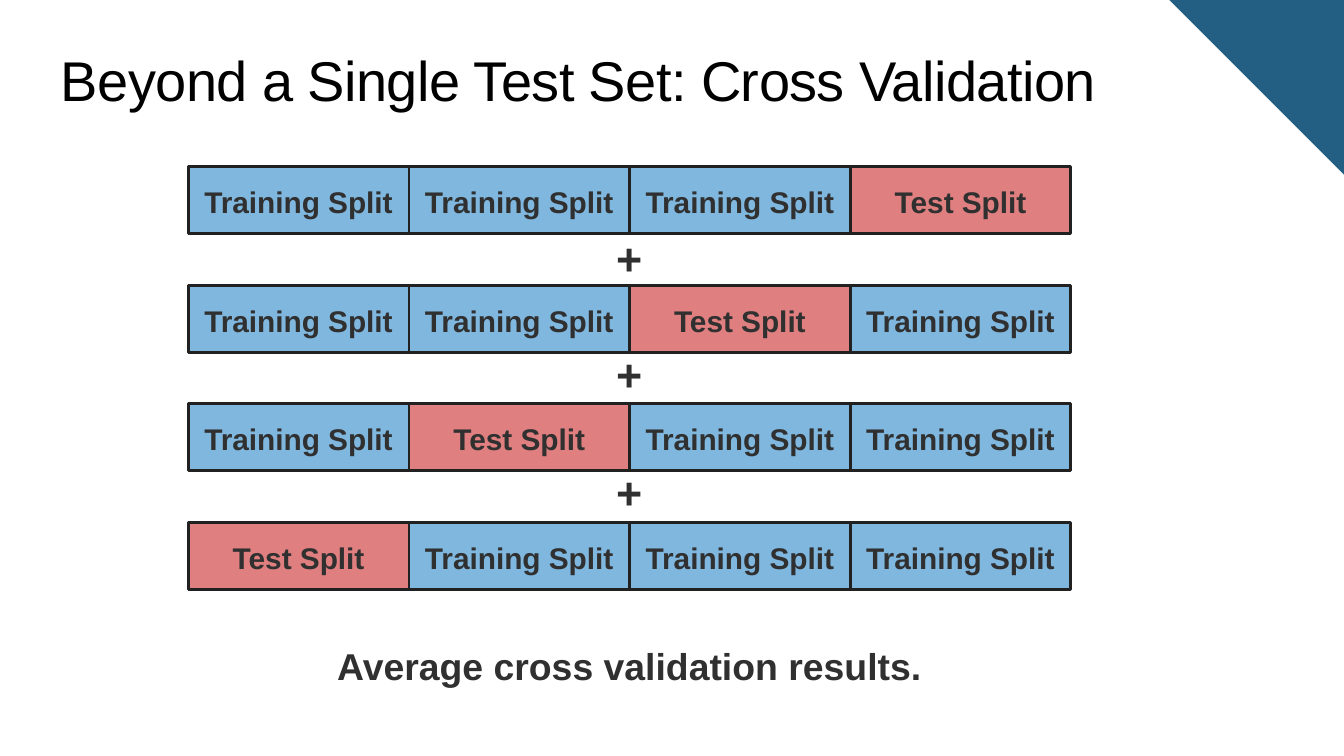
"""Build a slide that explains four-fold cross validation."""
import pptx
import pptx.dml.color
import pptx.enum.shapes
import pptx.enum.text
import pptx.oxml
import pptx.oxml.ns
import pptx.util

Cm, Pt = pptx.util.Cm, pptx.util.Pt
Color = pptx.dml.color.RGBColor.from_string
Shape = pptx.enum.shapes.MSO_SHAPE
Align = pptx.enum.text.PP_ALIGN
Anchor = pptx.enum.text.MSO_ANCHOR

THEME = {
    "font": "Arial",
    "corner": "235F83",
    "title": "000000",
    "text": "303030",
    "outline": "212121",
    "training": "0070C0",
    "test": "C00000",
    "title_size": 30,
    "split_size": 16,
    "plus_size": 24,
    "caption_size": 20,
    "line_spacing": 21,
}


def write(box, text, size, color, bold, paragraph_format, frame_format):
    frame = box.text_frame
    for name, value in frame_format.items():
        setattr(frame, name, value)
    para = frame.paragraphs[0]
    for name, value in paragraph_format.items():
        setattr(para, name, value)
    span = para.add_run()
    span.text = text
    font_format = {"name": THEME["font"], "size": Pt(size), "bold": bold}
    for name, value in font_format.items():
        setattr(span.font, name, value)
    span.font.color.rgb = Color(color)
    return span


def fill_plain(shape, color):
    shape.shadow.inherit = False
    shape.fill.solid()
    shape.fill.fore_color.rgb = Color(color)


deck = pptx.Presentation()
deck.slide_width, deck.slide_height = Cm(25.4), Cm(14.29)
page = deck.slides.add_slide(deck.slide_layouts[5])
shapes = page.shapes

corner = shapes.add_shape(Shape.RIGHT_TRIANGLE, Cm(22.1), 0, Cm(3.3), Cm(3.3))
corner.rotation = 180
fill_plain(corner, THEME["corner"])
corner.line.fill.background()

title = shapes.title
title_place = {"left": Cm(1.12), "top": Cm(0.86), "width": Cm(23.45), "height": Cm(1.27)}
for name, value in title_place.items():
    setattr(title, name, value)
title_frame = {
    "margin_left": Cm(0.03),
    "margin_top": 0,
    "margin_right": 0,
    "margin_bottom": 0,
    "vertical_anchor": Anchor.TOP,
    "auto_size": pptx.enum.text.MSO_AUTO_SIZE.NONE,
}
heading = write(title, "Beyond a Single Test Set: Cross Validation", THEME["title_size"],
                THEME["title"], False, {"alignment": Align.LEFT}, title_frame)
heading.font._element.set("spc", "-30")

centred = {"alignment": Align.CENTER, "line_spacing": Pt(THEME["line_spacing"])}
middle = {"vertical_anchor": Anchor.MIDDLE, "word_wrap": True}

folds = 4
grid_left, grid_top = 3.56, 3.15
split_width, split_height, row_pitch = 4.17, 1.27, 2.24

for row in range(folds):
    test_column = folds - 1 - row
    for column in sorted(range(folds), key=lambda place: place != test_column):
        kind = "test" if column == test_column else "training"
        split = shapes.add_shape(
            Shape.RECTANGLE, Cm(grid_left + column * split_width),
            Cm(grid_top + row * row_pitch), Cm(split_width), Cm(split_height))
        fill_plain(split, THEME[kind])
        color_element = split.fill._xPr.find(".//" + pptx.oxml.ns.qn("a:srgbClr"))
        color_element.append(pptx.oxml.parse_xml(
            f'<a:alpha {pptx.oxml.ns.nsdecls("a")} val="50000"/>'))
        split.line.color.rgb = Color(THEME["outline"])
        split.line.width = Pt(1.5)
        write(split, f"{kind.title()} Split", THEME["split_size"], THEME["text"], True,
              centred, middle)

labels = [("+", 11.38, top, 1.02, THEME["plus_size"]) for top in (4.5, 6.68, 8.92)]
labels.append(("Average cross validation results.", grid_left, 12.12,
               folds * split_width, THEME["caption_size"]))
for text, left, top, width, size in labels:
    box = shapes.add_textbox(Cm(left), Cm(top), Cm(width), Cm(1.02))
    write(box, text, size, THEME["text"], True, centred, middle)

deck.save("out.pptx")
